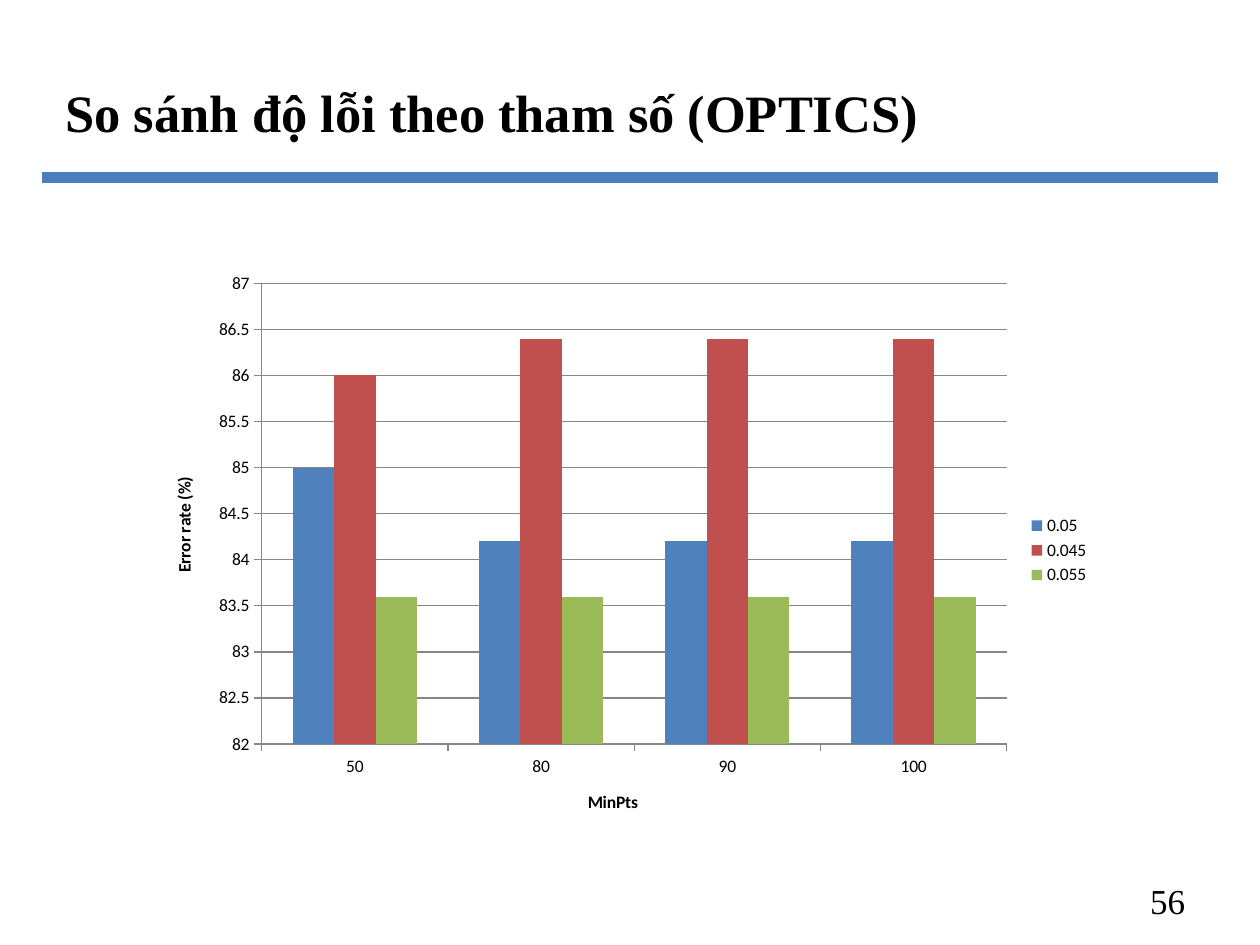
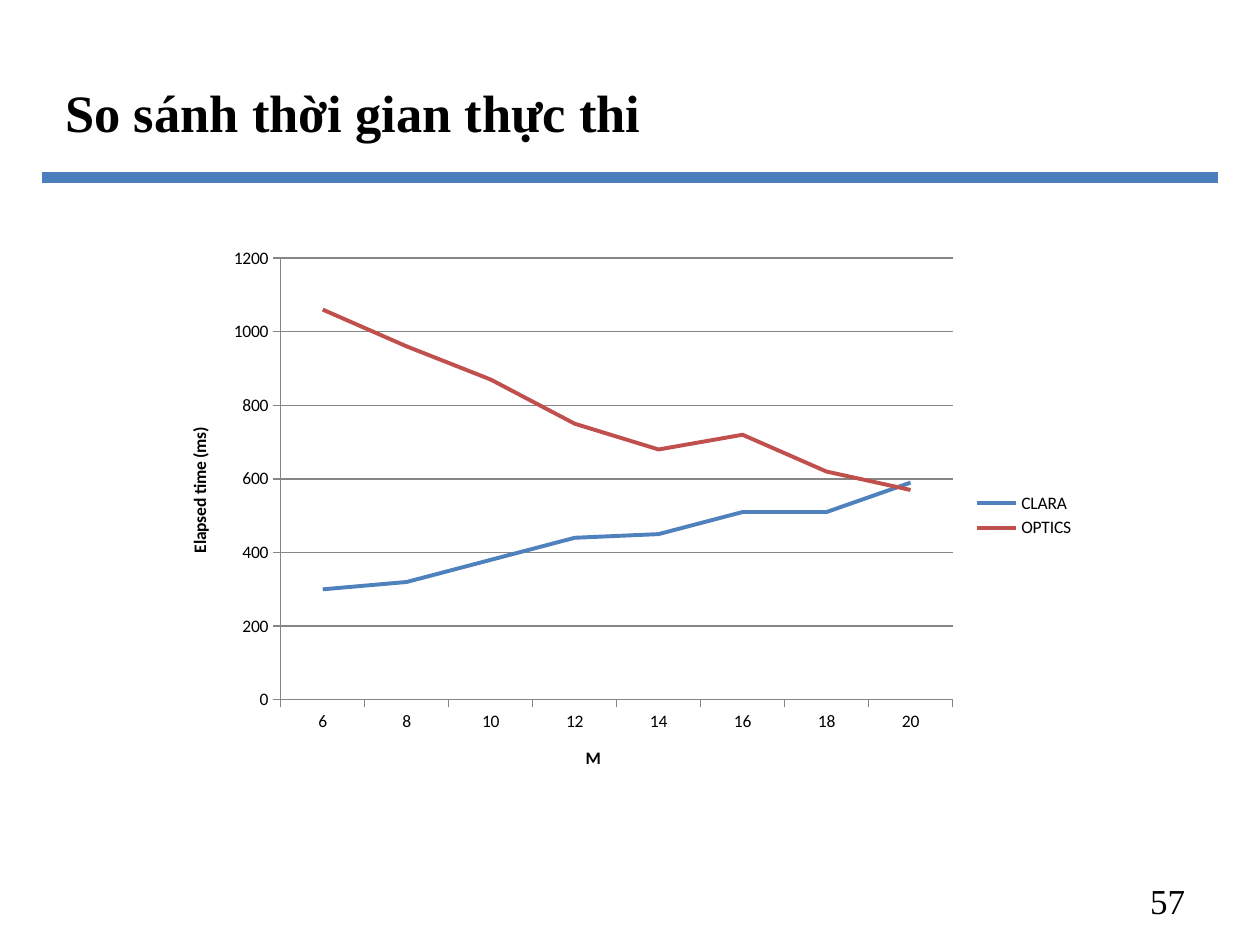
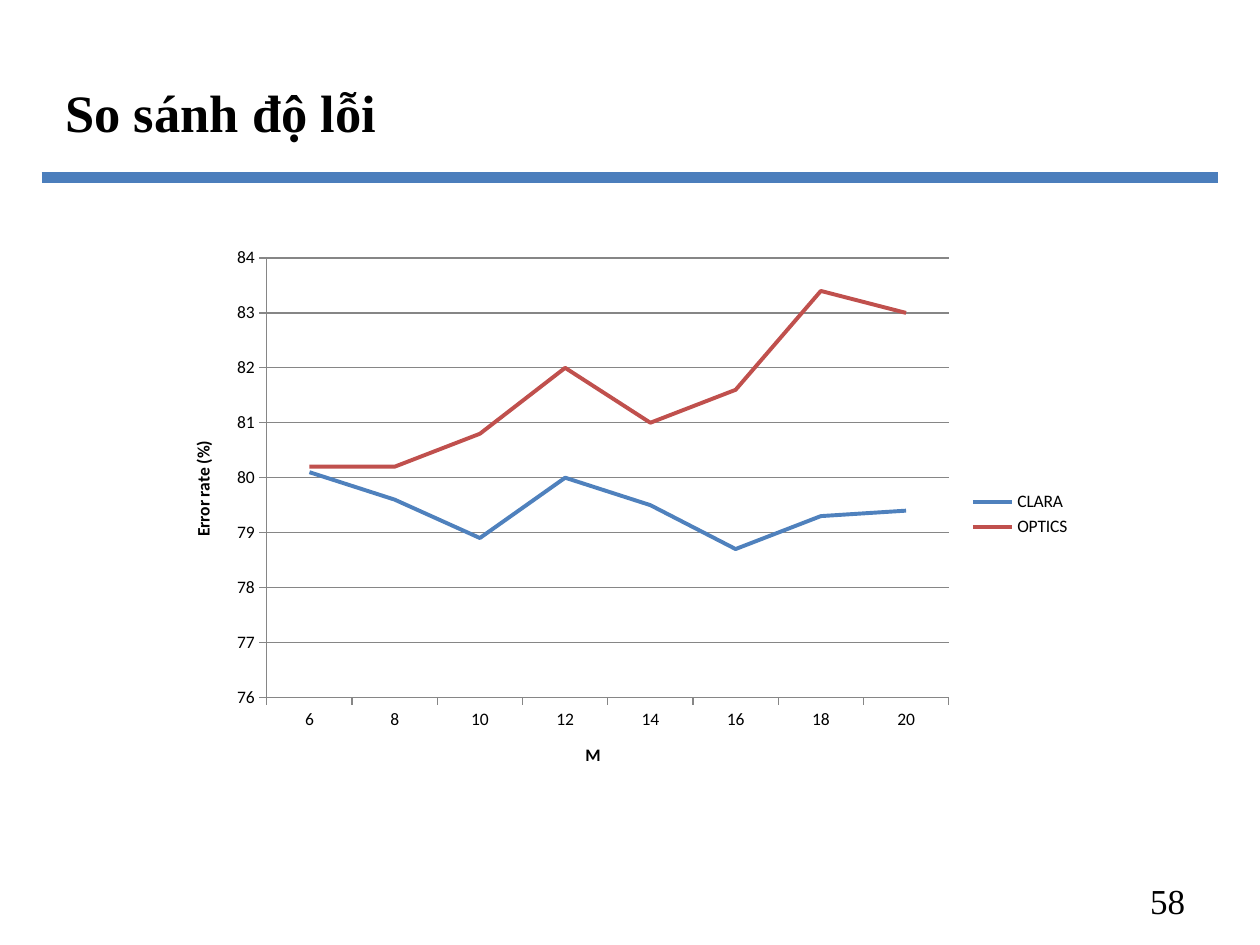
from pptx import Presentation
from pptx.chart.data import CategoryChartData
from pptx.dml.color import RGBColor
from pptx.enum.chart import XL_CHART_TYPE as ChartType
from pptx.enum.chart import XL_LEGEND_POSITION as LegendPosition
from pptx.enum.chart import XL_TICK_MARK as TickMark
from pptx.enum.shapes import MSO_CONNECTOR as Connector
from pptx.enum.text import MSO_ANCHOR as Anchor
from pptx.enum.text import PP_ALIGN as Align
from pptx.oxml.xmlchemy import OxmlElement
from pptx.util import Cm, Pt

BLACK = RGBColor(0x00, 0x00, 0x00)
GREY = RGBColor(0x86, 0x86, 0x86)
RULE_BLUE = RGBColor(0x4B, 0x7E, 0xBC)
BLUE = RGBColor(0x4F, 0x81, 0xBD)
RED = RGBColor(0xC0, 0x50, 0x4D)
GREEN = RGBColor(0x9B, 0xBB, 0x59)
SERIES_COLOURS = (BLUE, RED, GREEN)

TEXT_FONT = "Times New Roman"
CHART_FONT = "Calibri"
M_VALUES = ("6", "8", "10", "12", "14", "16", "18", "20")


class Deck:
    """Hold the shared style and the current slide."""

    def __init__(self, first_number):
        self.presentation = Presentation()
        self.presentation.slide_width = Cm(25.4)
        self.presentation.slide_height = Cm(19.05)
        self.number = first_number
        self.slide = None

    def add_slide(self, title):
        """Start a slide with its title, rule and number."""
        self.slide = self.presentation.slides.add_slide(self.presentation.slide_layouts[6])
        self.add_text(title, (1.07, 0.89, 23.29, 2.72), 30, bold=True)
        self.add_rule(0.84, 24.56, 3.58)
        self.add_text(str(self.number), (18.21, 17.65, 5.93, 1.02), 20, align=Align.RIGHT)
        self.number += 1

    def add_text(self, text, box, size, bold=False, align=Align.LEFT):
        """Add one line of text, centred vertically in its box."""
        frame = self.slide.shapes.add_textbox(*map(Cm, box)).text_frame
        frame.word_wrap = True
        frame.vertical_anchor = Anchor.MIDDLE
        paragraph = frame.paragraphs[0]
        paragraph.text = text
        paragraph.alignment = align
        self.style_font(paragraph.font, TEXT_FONT, size, bold)

    def add_rule(self, left, right, top):
        """Add the thick horizontal rule below the title."""
        rule = self.slide.shapes.add_connector(
            Connector.STRAIGHT, Cm(left), Cm(top), Cm(right), Cm(top))
        rule.line.color.rgb = RULE_BLUE
        rule.line.width = Pt(6)
        rule._element.spPr.append(OxmlElement("a:effectLst"))

    def add_chart(self, chart_type, box, categories, series, axis_titles, scale):
        """Add a chart with titled axes and a legend on the right."""
        data = CategoryChartData()
        data.categories = categories
        for name, values in series.items():
            data.add_series(name, values)
        chart = self.slide.shapes.add_chart(chart_type, *map(Cm, box), data).chart
        self.style_font(chart.font, CHART_FONT, 10)
        chart.has_title = False
        chart.has_legend = True
        chart.legend.position = LegendPosition.RIGHT
        chart.legend.include_in_layout = False
        for axis, title in zip((chart.category_axis, chart.value_axis), axis_titles):
            self.style_axis(axis, title)
        self.scale_values(chart.value_axis, *scale)
        self.style_series(chart.plots[0], chart_type)

    def style_axis(self, axis, title):
        """Give an axis its title, ticks and line."""
        axis.major_tick_mark = TickMark.OUTSIDE
        axis.minor_tick_mark = TickMark.NONE
        self.style_line(axis.format.line, GREY, 0.75)
        paragraph = axis.axis_title.text_frame.paragraphs[0]
        paragraph.text = title
        self.style_font(paragraph.font, CHART_FONT, 10, bold=True)

    def scale_values(self, axis, minimum, maximum, step):
        """Set the range and the gridlines of the value axis."""
        axis.minimum_scale = minimum
        axis.maximum_scale = maximum
        axis.major_unit = step
        axis.tick_labels.number_format = "General"
        axis.tick_labels.number_format_is_linked = False
        axis.has_major_gridlines = True
        self.style_line(axis.major_gridlines.format.line, GREY, 0.75)

    def style_series(self, plot, chart_type):
        """Colour the bars or lines of a plot."""
        plot.vary_by_categories = False
        for series, colour in zip(plot.series, SERIES_COLOURS):
            if chart_type == ChartType.LINE:
                series.smooth = False
                self.style_line(series.format.line, colour, 2.25)
            else:
                plot.gap_width = 150
                series.format.fill.solid()
                series.format.fill.fore_color.rgb = colour

    def style_line(self, line, colour, width):
        """Set the colour and width of a line."""
        line.color.rgb = colour
        line.width = Pt(width)

    def style_font(self, font, name, size, bold=False):
        """Set a black font."""
        font.name = name
        font.size = Pt(size)
        font.bold = bold
        font.color.rgb = BLACK


def main():
    """Build the three comparison slides."""
    deck = Deck(first_number=56)

    deck.add_slide("So sánh độ lỗi theo tham số (OPTICS)")
    deck.add_chart(
        ChartType.COLUMN_CLUSTERED, (2.97, 5.28, 19.25, 11.63),
        ("50", "80", "90", "100"),
        {"0.05": (85, 84.2, 84.2, 84.2),
         "0.045": (86, 86.4, 86.4, 86.4),
         "0.055": (83.6, 83.6, 83.6, 83.6)},
        ("MinPts", "Error rate (%)"), (82, 87, 0.5))

    deck.add_slide("So sánh thời gian thực thi")
    deck.add_chart(
        ChartType.LINE, (3.28, 4.78, 18.64, 11.23), M_VALUES,
        {"CLARA": (300, 320, 380, 440, 450, 510, 510, 590),
         "OPTICS": (1060, 960, 870, 750, 680, 720, 620, 570)},
        ("M", "Elapsed time (ms)"), (0, 1200, 200))

    deck.add_slide("So sánh độ lỗi")
    deck.add_chart(
        ChartType.LINE, (3.35, 4.78, 18.49, 11.18), M_VALUES,
        {"CLARA": (80.1, 79.6, 78.9, 80, 79.5, 78.7, 79.3, 79.4),
         "OPTICS": (80.2, 80.2, 80.8, 82, 81, 81.6, 83.4, 83)},
        ("M", "Error rate (%)"), (76, 84, 1))

    deck.presentation.save("out.pptx")


if __name__ == "__main__":
    main()
